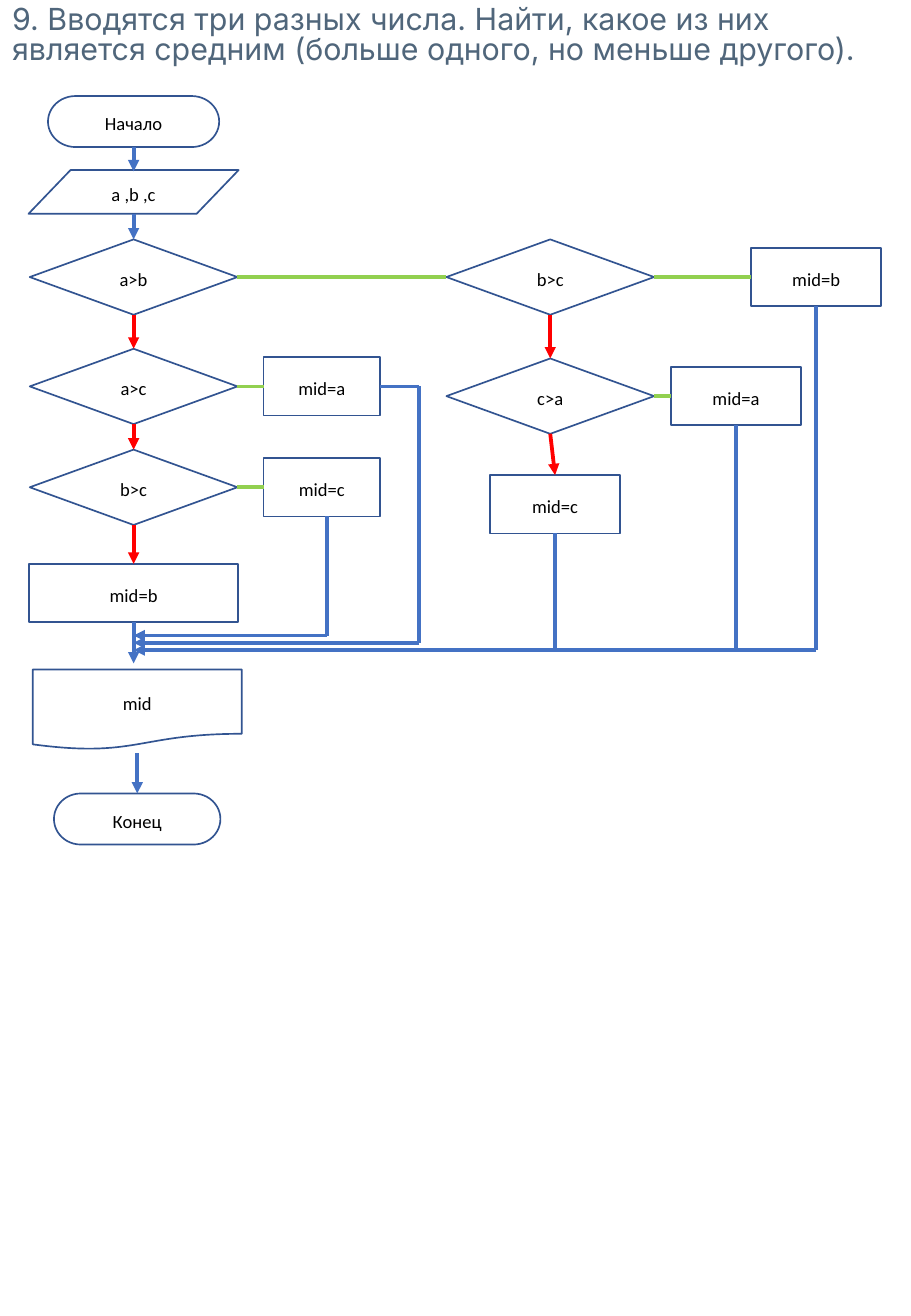
import pptx
import pptx.util
import pptx.dml.color
import pptx.enum.shapes
import pptx.enum.text
import pptx.oxml.ns
from lxml import etree

WIDE, HIGH = 7.5, 10.83
TITLE = ("9. Вводятся три разных числа. Найти, какое из них является "
         "средним (больше одного, но меньше другого).")
THEME = {
    "title": "50667B", "text": "000000", "edge": "325491", "paper": "FFFFFF",
    "flow": "4472C4", "yes": "92D050", "no": "FF0000",
    "head": ("Inter", 18), "body": ("Calibri", 11),
    "thin": 1, "thick": 2.25,
}

# Centres of the columns and rows, in inches
COLS = {"main": 1.1, "out": 1.13, "side": 2.65, "mid": 4.53, "low": 4.57,
        "right": 6.06, "far": 6.72}
ROWS = {"start": 1.0, "read": 1.58, "if1": 2.28, "if2": 3.18, "if2r": 3.26,
        "if3": 4.01, "set3": 4.15, "set": 4.88, "show": 5.84, "end": 6.74}

# Kind: preset shape, height, filled
KIND = pptx.enum.shapes.MSO_SHAPE
KINDS = {
    "term": (KIND.FLOWCHART_TERMINATOR, 0.42, False),
    "data": (KIND.FLOWCHART_DATA, 0.36, False),
    "test": (KIND.FLOWCHART_DECISION, 0.62, False),
    "step": (KIND.FLOWCHART_PROCESS, 0.48, True),
    "doc": (KIND.FLOWCHART_DOCUMENT, 0.66, True),
}

# Name: kind, text, column, row, width
NODES = {
    "start": ("term", "Начало", "main", "start", 1.41),
    "read": ("data", "a ,b ,c", "main", "read", 1.73),
    "a>b": ("test", "a>b", "main", "if1", 1.71),
    "a>c": ("test", "a>c", "main", "if2", 1.71),
    "b>c": ("test", "b>c", "main", "if3", 1.71),
    "b": ("step", "mid=b", "main", "set", 1.72),
    "a": ("step", "mid=a", "side", "if2", 0.96),
    "c": ("step", "mid=c", "side", "if3", 0.96),
    "b>c far": ("test", "b>c", "mid", "if1", 1.71),
    "c>a": ("test", "c>a", "mid", "if2r", 1.71),
    "c far": ("step", "mid=c", "low", "set3", 1.07),
    "a far": ("step", "mid=a", "right", "if2r", 1.07),
    "b far": ("step", "mid=b", "far", "if1", 1.07),
    "show": ("doc", "mid", "out", "show", 1.72),
    "end": ("term", "Конец", "out", "end", 1.37),
}

TOP, LEFT, BOTTOM, RIGHT = range(4)
MAIN = COLS["main"]
BUS_C, BUS_A, BUS = 5.23, 5.29, 5.35   # heights of the three return lines
TURN_A, DROP_C = 3.45, 2.69

# Each end is a point or a (node, side) pair: from, to, colour, arrow
LINKS = [
    (("start", BOTTOM), (MAIN, 1.41), "flow", True),
    ((MAIN, 1.76), ("a>b", TOP), "flow", True),
    (("a>b", BOTTOM), ("a>c", TOP), "no", True),
    (("a>c", BOTTOM), ("b>c", TOP), "no", True),
    (("b>c", BOTTOM), ("b", TOP), "no", True),
    (("b", BOTTOM), (MAIN, 5.46), "flow", True),
    ((COLS["out"], 6.2), ("end", TOP), "flow", True),
    (("a>b", RIGHT), ("b>c far", LEFT), "yes", False),
    (("b>c far", RIGHT), ("b far", LEFT), "yes", False),
    (("a>c", RIGHT), ("a", LEFT), "yes", False),
    (("b>c", RIGHT), ("c", LEFT), "yes", False),
    (("c>a", RIGHT), ("a far", LEFT), "yes", False),
    (("b>c far", BOTTOM), ("c>a", TOP), "no", True),
    (("c>a", BOTTOM), ("c far", TOP), "no", True),
    ((DROP_C, 4.25), (DROP_C, BUS_C), "flow", False),
    ((DROP_C, BUS_C), (MAIN, BUS_C), "flow", True),
    (("a", RIGHT), (TURN_A, ROWS["if2"]), "flow", False),
    ((TURN_A, ROWS["if2"]), (TURN_A, BUS_A), "flow", False),
    ((TURN_A, BUS_A), (MAIN, BUS_A), "flow", True),
    (("c far", BOTTOM), (COLS["low"], BUS), "flow", False),
    (("a far", BOTTOM), (COLS["right"], BUS), "flow", False),
    (("b far", BOTTOM), (COLS["far"], BUS), "flow", False),
    ((COLS["far"], BUS), (MAIN, BUS), "flow", True),
]

inch, Pt = pptx.util.Inches, pptx.util.Pt


def tint(name):
    return pptx.dml.color.RGBColor.from_string(THEME[name])


def style(par, face, color):
    par.font.name, size = THEME[face]
    par.font.size = Pt(size)
    par.font.color.rgb = tint(color)


def add_title(slide):
    title = slide.shapes.title
    title.left, title.top = 0, 0
    title.width, title.height = inch(WIDE), inch(0.61)
    frame = title.text_frame
    frame.text = TITLE
    frame.word_wrap = True
    frame.auto_size = pptx.enum.text.MSO_AUTO_SIZE.SHAPE_TO_FIT_TEXT
    frame.vertical_anchor = pptx.enum.text.MSO_ANCHOR.TOP
    par = frame.paragraphs[0]
    par.alignment = pptx.enum.text.PP_ALIGN.LEFT
    par.line_spacing = Pt(18)
    par.space_before, par.space_after = Pt(15), Pt(7.5)
    style(par, "head", "title")


def add_node(slide, kind, text, col, row, width):
    form, height, filled = KINDS[kind]
    shape = slide.shapes.add_shape(
        form, inch(COLS[col] - width / 2), inch(ROWS[row] - height / 2),
        inch(width), inch(height))
    shape.shadow.inherit = False
    if filled:
        shape.fill.solid()
        shape.fill.fore_color.rgb = tint("paper")
    else:
        shape.fill.background()
    shape.line.color.rgb = tint("edge")
    shape.line.width = Pt(THEME["thin"])
    frame = shape.text_frame
    frame.text = text
    frame.vertical_anchor = pptx.enum.text.MSO_ANCHOR.MIDDLE
    par = frame.paragraphs[0]
    par.alignment = pptx.enum.text.PP_ALIGN.CENTER
    par.line_spacing, par.space_after = 1.15, Pt(10)
    style(par, "body", "text")
    return shape


def add_link(slide, nodes, start, stop, color, arrow):
    """Draw a straight line, joined to a node at each end that names one."""
    spots = [(0, 0) if end[0] in nodes else end for end in (start, stop)]
    line = slide.shapes.add_connector(
        pptx.enum.shapes.MSO_CONNECTOR.STRAIGHT,
        *(inch(value) for spot in spots for value in spot))
    for end, join in ((start, line.begin_connect), (stop, line.end_connect)):
        if end[0] in nodes:
            join(nodes[end[0]], end[1])
    line.line.color.rgb = tint(color)
    line.line.width = Pt(THEME["thick"])
    qn = pptx.oxml.ns.qn
    props = line._element.spPr
    if arrow:
        etree.SubElement(props.find(qn("a:ln")), qn("a:tailEnd"),
                         type="triangle")
    etree.SubElement(props, qn("a:effectLst"))


def main():
    deck = pptx.Presentation()
    deck.slide_width, deck.slide_height = inch(WIDE), inch(HIGH)
    slide = deck.slides.add_slide(deck.slide_layouts.get_by_name("Title Only"))
    add_title(slide)
    nodes = {name: add_node(slide, *node) for name, node in NODES.items()}
    for link in LINKS:
        add_link(slide, nodes, *link)
    deck.save("out.pptx")


if __name__ == "__main__":
    main()
